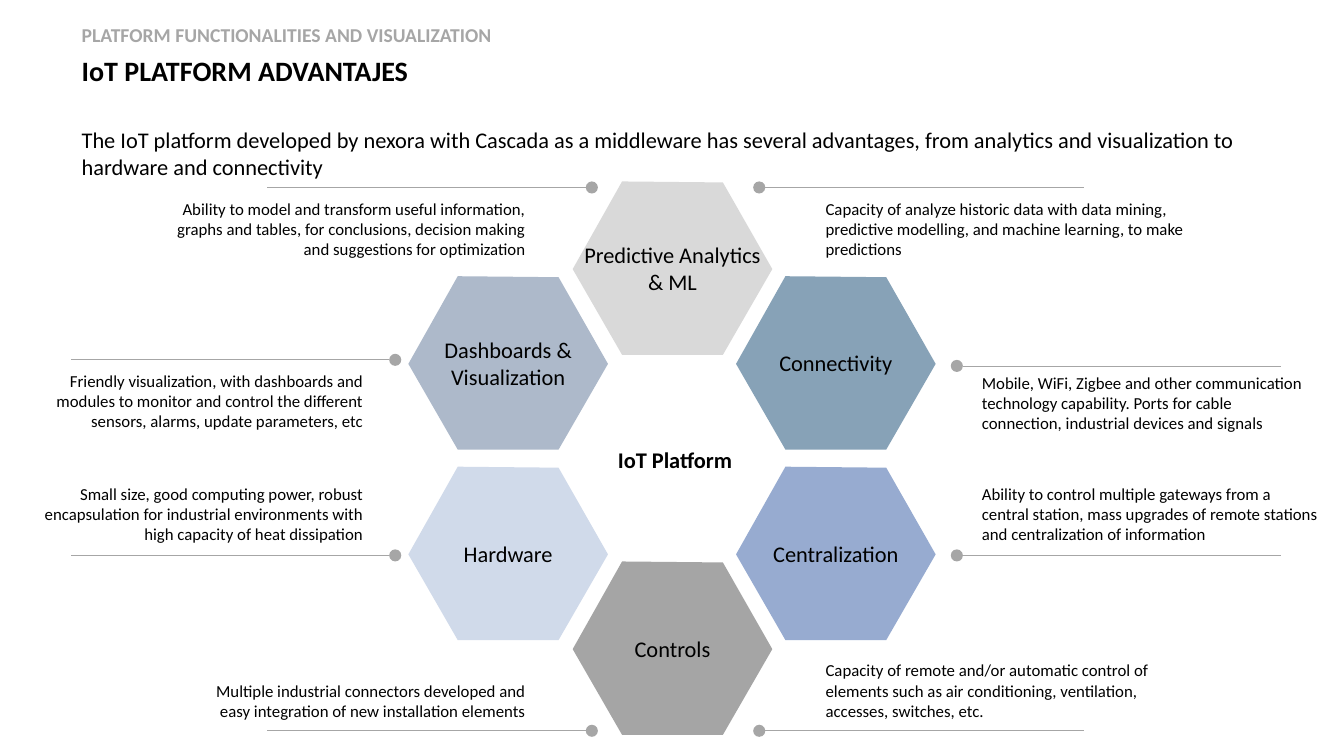
import pptx
import pptx.dml.color
import pptx.enum.shapes
import pptx.enum.text
import pptx.oxml.ns
import pptx.util
from lxml import etree

PX = 9144  # EMU per px, 100 px to the inch
SLIDE_WIDTH, SLIDE_HEIGHT = 1333, 750

RGB = pptx.dml.color.RGBColor
ALIGN = pptx.enum.text.PP_ALIGN
ANCHOR = pptx.enum.text.MSO_ANCHOR
AUTO_SIZE = pptx.enum.text.MSO_AUTO_SIZE

BLACK = RGB(0x00, 0x00, 0x00)
GREY = RGB(0xA6, 0xA6, 0xA6)
SILVER = RGB(0xD9, 0xD9, 0xD9)
STONE = RGB(0xA5, 0xA5, 0xA5)
MIST = RGB(0xAD, 0xB9, 0xCA)
TEAL = RGB(0x87, 0xA2, 0xB7)
ICE = RGB(0xD0, 0xDA, 0xEA)
PERIWINKLE = RGB(0x97, 0xAB, 0xD0)

# Corners of one hexagon, from its top left
HEXAGON = [(49, 0), (149, 1), (198, 87), (149, 172), (49, 172), (0, 87)]
LEFT_COLUMN, MIDDLE_COLUMN, RIGHT_COLUMN = 405, 568, 730

FUNCTIONS = [  # left, top, colour, label
    (MIDDLE_COLUMN, 180, SILVER, "Predictive Analytics\n& ML"),
    (MIDDLE_COLUMN, 557, STONE, "Controls"),
    (LEFT_COLUMN, 274, MIST, "Dashboards & Visualization"),
    (RIGHT_COLUMN, 274, TEAL, "Connectivity"),
    (LEFT_COLUMN, 463, ICE, "Hardware"),
    (RIGHT_COLUMN, 463, PERIWINKLE, "Centralization"),
]

DOT = 12
RULE_LENGTH = 316

ADVANTAGES = [  # start of the rule (x, y), text box, text
    ((581, 725), (180, 670, 351, 50),
     "Multiple industrial connectors developed and easy integration of new "
     "installation elements"),
    ((386, 551), (29, 475, 341, 71),
     "Small size, good computing power, robust encapsulation for industrial "
     "environments with high capacity of heat dissipation"),
    ((759, 725), (809, 650, 387, 71),
     "Capacity of remote and/or automatic control of elements such as air "
     "conditioning, ventilation, accesses, switches, etc."),
    ((955, 363), (964, 365, 341, 71),
     "Mobile, WiFi, Zigbee and other communication technology capability. "
     "Ports for cable connection, industrial devices and signals"),
    ((759, 186), (809, 192, 387, 71),
     "Capacity of analyze historic data with data mining, predictive "
     "modelling, and machine learning, to make predictions"),
    ((955, 551), (964, 475, 354, 71),
     "Ability to control multiple gateways from a central station, mass "
     "upgrades of remote stations and centralization of information"),
    ((386, 357), (29, 363, 341, 71),
     "Friendly visualization, with dashboards and modules to monitor and "
     "control the different sensors, alarms, update parameters, etc"),
    ((581, 186), (160, 192, 371, 91),
     "Ability to model and transform useful information, graphs and tables, "
     "for conclusions, decision making and suggestions for optimization"),
]


def px(*lengths):
    return [length * PX for length in lengths]


def write(frame, text, size=16, color=BLACK, bold=False, align=ALIGN.LEFT,
          anchor=ANCHOR.TOP, inset=(10, 5), wrap=True, grow=False):
    frame.word_wrap = wrap
    frame.auto_size = AUTO_SIZE.SHAPE_TO_FIT_TEXT if grow else AUTO_SIZE.NONE
    frame.vertical_anchor = anchor
    frame.margin_left = frame.margin_right = inset[0] * PX
    frame.margin_top = frame.margin_bottom = inset[1] * PX
    frame.text = text
    for paragraph in frame.paragraphs:
        paragraph.alignment = align
        for run in paragraph.runs:
            run.font.name = "Calibri"
            run.font.size = pptx.util.Pt(size)
            run.font.bold = bold
            run.font.color.rgb = color


def add_text(slide, box, text, **style):
    write(slide.shapes.add_textbox(*px(*box)).text_frame, text, **style)


def paint(shape, color):
    shape.shadow.inherit = False
    shape.fill.solid()
    shape.fill.fore_color.rgb = color
    shape.line.fill.background()


def add_hexagon(slide, left, top, color, label):
    corners = [(left + x, top + y) for x, y in HEXAGON]
    outline = slide.shapes.build_freeform(*corners[0], scale=PX)
    outline.add_line_segments(corners[1:], close=True)
    hexagon = outline.convert_to_shape()
    paint(hexagon, color)
    write(hexagon.text_frame, label, align=ALIGN.CENTER, anchor=ANCHOR.MIDDLE)


def add_advantage(slide, start, box, text):
    x, y = start
    on_left = x < SLIDE_WIDTH / 2
    marker = slide.shapes.add_group_shape().shapes

    # Dot towards the hexagons, rule away from them
    dot_left = x if on_left else x - DOT
    dot = marker.add_shape(pptx.enum.shapes.MSO_SHAPE.OVAL,
                           *px(dot_left, y - DOT // 2, DOT, DOT))
    paint(dot, GREY)
    end = x - RULE_LENGTH if on_left else x + RULE_LENGTH
    rule = marker.add_connector(pptx.enum.shapes.MSO_CONNECTOR.STRAIGHT,
                                *px(x, y, end, y))
    rule.line.color.rgb = GREY
    rule.line.width = pptx.util.Pt(0.5)
    etree.SubElement(rule._element.spPr, pptx.oxml.ns.qn("a:effectLst"))

    add_text(slide, box, text, size=12, grow=True,
             align=ALIGN.RIGHT if on_left else ALIGN.LEFT)


def main():
    presentation = pptx.Presentation()
    presentation.slide_width, presentation.slide_height = px(
        SLIDE_WIDTH, SLIDE_HEIGHT)
    slide = presentation.slides.add_slide(presentation.slide_layouts[6])

    # Headings
    add_text(slide, (76, 48, 900, 78), "IoT PLATFORM ADVANTAJES",
             size=20, bold=True, inset=(5, 5))
    add_text(slide, (76, 18, 542, 28),
             "PLATFORM FUNCTIONALITIES AND VISUALIZATION",
             size=14, color=GREY, bold=True, inset=(5, 5))
    add_text(slide, (76, 120, 1189, 66),
             "The IoT platform developed by nexora with Cascada as a "
             "middleware has several advantages, from analytics and "
             "visualization to hardware and connectivity", inset=(5, 5))

    # Ring of platform functions
    for function in FUNCTIONS:
        add_hexagon(slide, *function)

    # Advantages around the ring
    for advantage in ADVANTAGES:
        add_advantage(slide, *advantage)

    # Centre of the ring
    add_text(slide, (603, 438, 136, 37), "IoT Platform",
             bold=True, wrap=False, grow=True)

    presentation.save("out.pptx")


if __name__ == "__main__":
    main()
